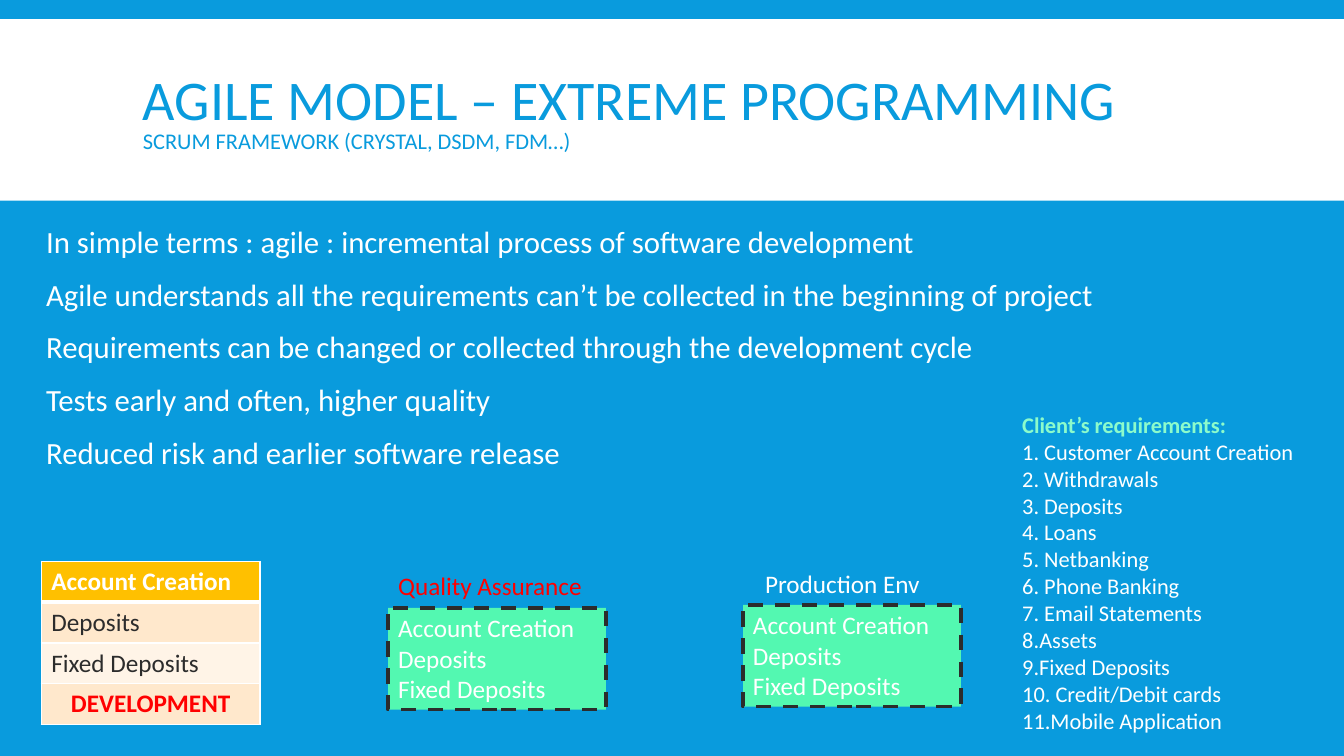
"""Build the Agile model and Extreme Programming slide."""
from lxml import etree
from pptx import Presentation
from pptx.dml.color import RGBColor
from pptx.enum import dml, shapes, text
from pptx.oxml.ns import qn
from pptx.util import Inches, Pt

COLORS = {"blue": "099BDD", "white": "FFFFFF", "mint": "53F8B1", "pale_mint": "8CFBCB",
          "dark": "2C2C2C", "red": "FF0000", "amber": "FFC000",
          "peach": "FFE8CC", "cream": "FFF4E7"}
FONT = "Calibri"
TITLE = "AGILE MODEL – EXTREME PROGRAMMING\nSCRUM FRAMEWORK (CRYSTAL, DSDM, FDM…)"
POINTS = [
    "In simple terms : agile : incremental process of software development",
    "Agile understands all the requirements can’t be collected in the beginning of project",
    "Requirements can be changed or collected through the development cycle",
    "Tests early and often, higher quality",
    "Reduced risk and earlier software release",
]
REQUIREMENTS = [
    "Client’s requirements:", "1. Customer Account Creation", "2. Withdrawals",
    "3. Deposits", "4. Loans", "5. Netbanking", "6. Phone Banking",
    "7. Email Statements", "8.Assets", "9.Fixed Deposits",
    "10. Credit/Debit cards", "11.Mobile Application",
]
FEATURES = ["Account Creation", "Deposits", "Fixed Deposits"]
DEVELOPMENT_ROWS = [
    (FEATURES[0], "amber", "white", True),
    (FEATURES[1], "peach", "dark", False),
    (FEATURES[2], "cream", "dark", False),
    ("DEVELOPMENT", "peach", "red", True),
]
STAGES = [
    ("Quality Assurance", "red", (3.85, 5.61, 2.08, 0.4), (3.85, 6.03, 2.16, 1.01)),
    ("Production Env", "white", (7.49, 5.59, 2.16, 0.4), (7.37, 6, 2.16, 1.01)),
]


def rgb(name):
    return RGBColor.from_string(COLORS[name])


def style(p, size, color, bold=False):
    for r in p.runs:
        r.font.name, r.font.size, r.font.bold = FONT, Pt(size), bold
        r.font.color.rgb = rgb(color)


def write(tf, lines, size, color):
    tf.word_wrap = True
    tf.text = "\n".join(lines)
    for p in tf.paragraphs:
        p.alignment = text.PP_ALIGN.LEFT
        style(p, size, color)


def add_text(s, box, lines, size, color):
    tf = s.shapes.add_textbox(*map(Inches, box)).text_frame
    write(tf, lines, size, color)
    return tf


def add_rect(s, box, fill):
    sp = s.shapes.add_shape(shapes.MSO_SHAPE.RECTANGLE, *map(Inches, box))
    sp.shadow.inherit = False
    sp.fill.solid()
    sp.fill.fore_color.rgb = rgb(fill)
    sp.line.fill.background()
    return sp


def set_borders(cell, top, bottom):
    tc_pr = cell._tc.get_or_add_tcPr()
    for i, (side, width) in enumerate((("L", 1), ("R", 1), ("T", top), ("B", bottom))):
        ln = etree.Element(qn(f"a:ln{side}"), w=str(Pt(width)))
        fill = etree.SubElement(ln, qn("a:solidFill"))
        etree.SubElement(fill, qn("a:srgbClr"), val=COLORS["white"])
        tc_pr.insert(i, ln)


def add_title(s):
    add_rect(s, (0, 0.19, 13.33, 1.8), "white")
    tf = add_text(s, (1.32, 0.31, 10.7, 1.65), [], 40, "blue")
    tf.vertical_anchor = text.MSO_ANCHOR.MIDDLE
    p = tf.paragraphs[0]
    p.text = TITLE
    p.line_spacing = 0.85
    style(p, 40, "blue")
    p.runs[1].font.size = Pt(16)


def add_points(s):
    for p in add_text(s, (0.36, 2.2, 12.73, 4.6), POINTS, 22, "white").paragraphs:
        p.line_spacing, p.space_before, p.space_after = 0.9, Pt(12), Pt(2)


def add_development(s):
    box = map(Inches, (0.41, 5.57, 2.17, 1.62))
    table = s.shapes.add_table(len(DEVELOPMENT_ROWS), 1, *box).table
    for i, (label, fill, color, bold) in enumerate(DEVELOPMENT_ROWS):
        cell = table.cell(i, 0)
        cell.text = label
        cell.fill.solid()
        cell.fill.fore_color.rgb = rgb(fill)
        p = cell.text_frame.paragraphs[0]
        style(p, 18, color, bold)
        if label == "DEVELOPMENT":
            p.alignment = text.PP_ALIGN.CENTER
        set_borders(cell, 3 if i == 1 else 1, 3 if i == 0 else 1)


def add_stage(s, name, color, label_box, feature_box):
    sp = add_rect(s, feature_box, "mint")
    sp.line.color.rgb = rgb("dark")
    sp.line.width = Pt(2.75)
    sp.line.dash_style = dml.MSO_LINE.DASH
    write(sp.text_frame, FEATURES, 18, "white")
    sp.text_frame.vertical_anchor = text.MSO_ANCHOR.TOP
    add_text(s, label_box, [name], 18, color)


def main():
    prs = Presentation()
    prs.slide_width, prs.slide_height = Inches(13.33), Inches(7.5)
    s = prs.slides.add_slide(prs.slide_layouts[6])
    s.background.fill.solid()
    s.background.fill.fore_color.rgb = rgb("blue")
    add_title(s)
    add_points(s)
    add_development(s)
    tf = add_text(s, (10.04, 4.03, 2.92, 3.33), REQUIREMENTS, 16, "white")
    style(tf.paragraphs[0], 16, "pale_mint", True)
    for stage in STAGES:
        add_stage(s, *stage)
    prs.save("out.pptx")


if __name__ == "__main__":
    main()
